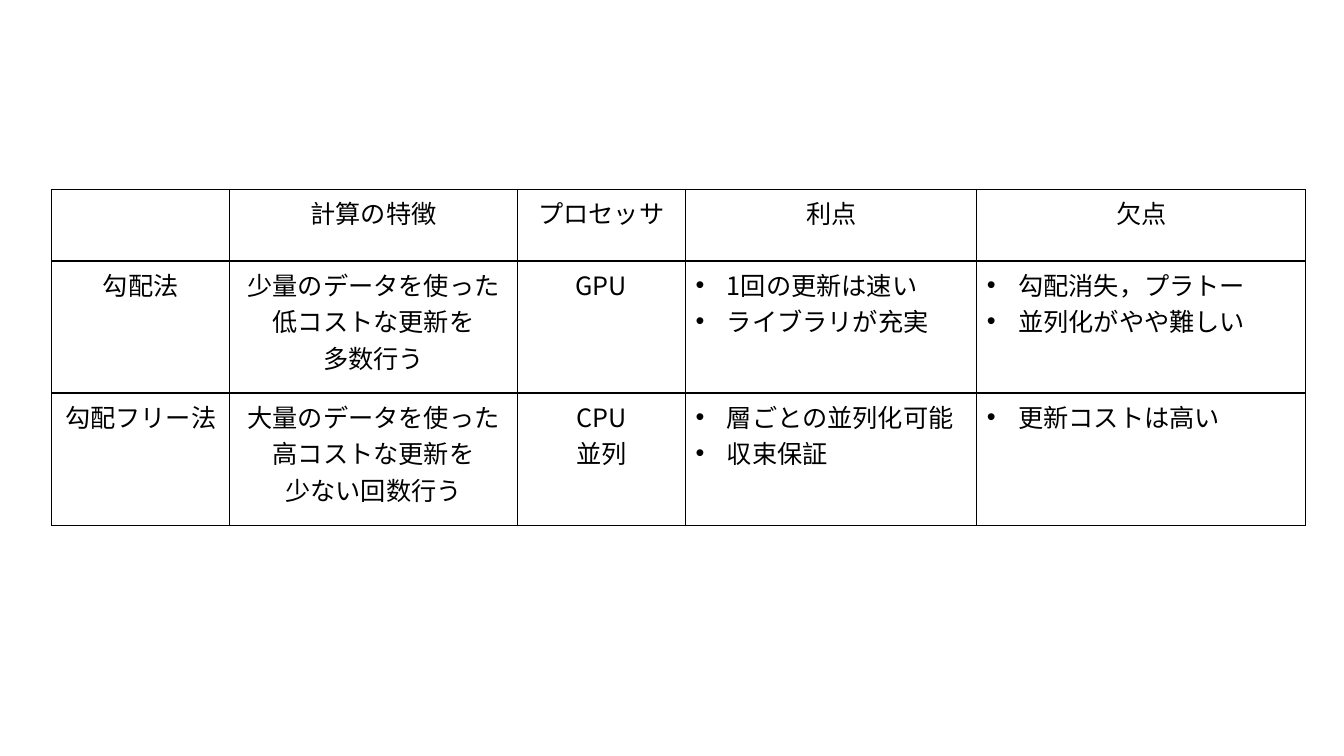
from lxml.etree import SubElement
from pptx import Presentation
from pptx.dml.color import RGBColor
from pptx.enum.text import PP_ALIGN
from pptx.oxml.ns import qn
from pptx.util import Inches, Pt

SLIDE_WIDTH, SLIDE_HEIGHT = 13.33, 7.5
INK, PAPER = "000000", "FFFFFF"
FONT = "Noto Sans CJK JP"
TEXT_FORMAT = {"name": FONT, "size": Pt(18), "bold": False}
TABLE_FORMAT = {"first_row": False, "horz_banding": False}
BULLET_INDENT = Inches(0.31)
BORDER_WIDTH = Pt(1)

TABLE_BOX = (0.51, 1.88, 12.44, 3.33)
COLUMN_WIDTHS = [1.77, 2.85, 1.67, 2.89, 3.26]
ROW_HEIGHTS = [0.71, 1.31, 1.31]
FIRST_BULLET_COLUMN = 3

# Each cell is a list of paragraphs; "\v" is a line break.
METHODS = [
    [[], ["計算の特徴"], ["プロセッサ"], ["利点"], ["欠点"]],
    [["勾配法"], ["少量のデータを使った\v低コストな更新を\v多数行う"], ["GPU"],
     ["1回の更新は速い", "ライブラリが充実"],
     ["勾配消失，プラトー", "並列化がやや難しい"]],
    [["勾配フリー法"], ["大量のデータを使った\v高コストな更新を\v少ない回数行う"],
     ["CPU", "並列"],
     ["層ごとの並列化可能", "収束保証"],
     ["更新コストは高い"]],
]


def color(hex_string):
    """Turn a hex string into a colour."""
    return RGBColor.from_string(hex_string)


def set_format(target, values):
    """Set every attribute named in a dict of format values."""
    for name, value in values.items():
        setattr(target, name, value)


def add_bullet(paragraph):
    """Give a paragraph a hanging bullet."""
    properties = paragraph._p.get_or_add_pPr()
    properties.set("marL", str(BULLET_INDENT))
    properties.set("indent", str(-BULLET_INDENT))
    SubElement(properties, qn("a:buFont"), typeface="Arial")
    SubElement(properties, qn("a:buChar"), char="•")


def add_borders(cell):
    """Draw a thin line on all four sides of a cell."""
    properties = cell._tc.get_or_add_tcPr()
    for side in ("a:lnL", "a:lnR", "a:lnT", "a:lnB"):
        line = SubElement(properties, qn(side), w=str(BORDER_WIDTH))
        fill = SubElement(line, qn("a:solidFill"))
        SubElement(fill, qn("a:srgbClr"), val=INK)


def write_cell(cell, texts, bulleted):
    """Write paragraphs into a cell, bulleted or centred."""
    frame = cell.text_frame
    for index, text in enumerate(texts):
        paragraph = frame.add_paragraph() if index else frame.paragraphs[0]
        paragraph.text = text
        if bulleted:
            add_bullet(paragraph)
        else:
            paragraph.alignment = PP_ALIGN.CENTER
        for run in paragraph.runs:
            set_format(run.font, TEXT_FORMAT)
            run.font.color.rgb = color(INK)
            SubElement(run._r.get_or_add_rPr(), qn("a:ea"), typeface=FONT)


def add_comparison_table(slide, box):
    """Place the table of optimisation methods, scaled to the given box."""
    left, top, width, height = box
    table = slide.shapes.add_table(
        len(ROW_HEIGHTS), len(COLUMN_WIDTHS), *map(Inches, box)).table
    set_format(table, TABLE_FORMAT)
    for column, share in zip(table.columns, COLUMN_WIDTHS):
        column.width = Inches(width * share / sum(COLUMN_WIDTHS))
    for row, share in zip(table.rows, ROW_HEIGHTS):
        row.height = Inches(height * share / sum(ROW_HEIGHTS))
    for row_index, method in enumerate(METHODS):
        for column_index, texts in enumerate(method):
            cell = table.cell(row_index, column_index)
            add_borders(cell)
            cell.fill.solid()
            cell.fill.fore_color.rgb = color(PAPER)
            bulleted = row_index > 0 and column_index >= FIRST_BULLET_COLUMN
            write_cell(cell, texts, bulleted)


def main():
    """Build the slide and save it."""
    presentation = Presentation()
    set_format(presentation, {"slide_width": Inches(SLIDE_WIDTH),
                              "slide_height": Inches(SLIDE_HEIGHT)})
    slide = presentation.slides.add_slide(presentation.slide_layouts[6])
    add_comparison_table(slide, TABLE_BOX)
    presentation.save("out.pptx")


main()
